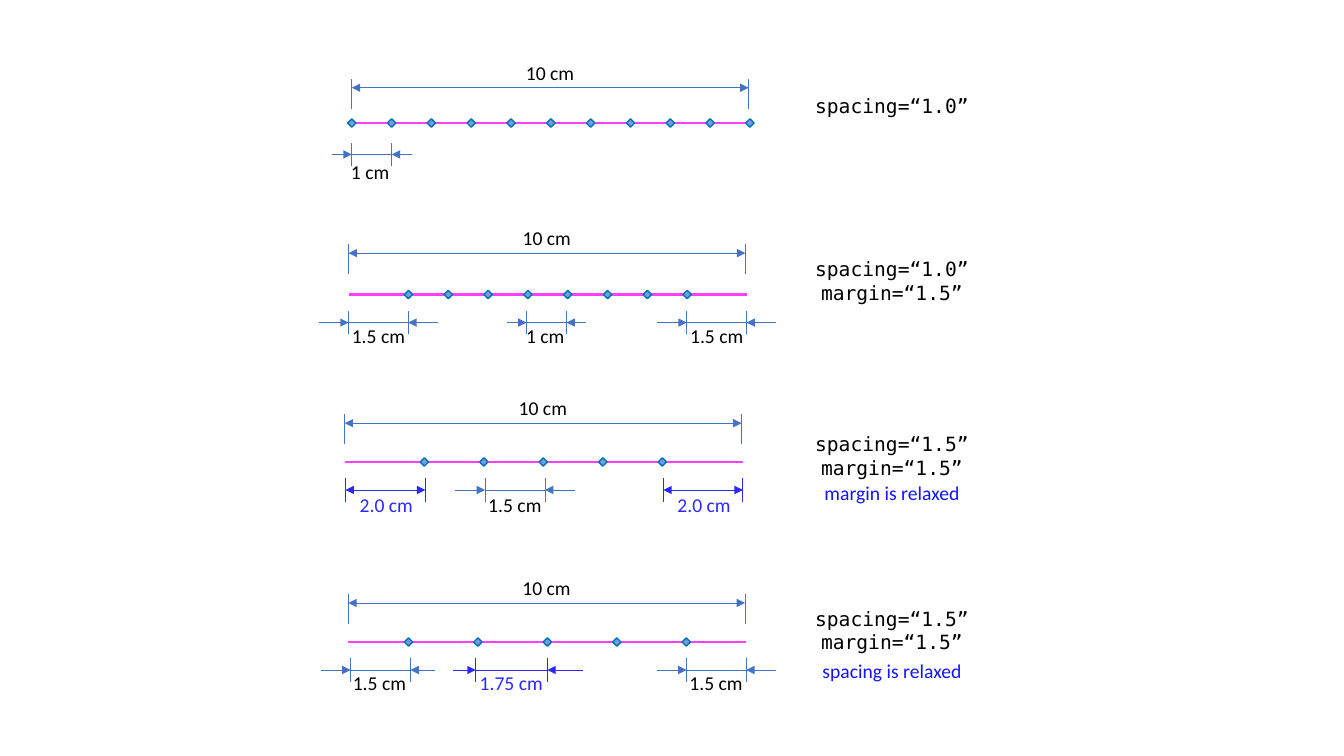
from dataclasses import dataclass
from typing import Any

from lxml import etree
from pptx import Presentation
from pptx import util as u
from pptx.dml import color
from pptx.enum import shapes, text
from pptx.oxml import ns


@dataclass(frozen=True)
class Theme:
    steel: str = "4472C4"
    pink: str = "FF41FF"
    fill: str = "729FCF"
    edge: str = "0070C0"
    blue: str = "2B28FF"
    note: str = "1314FF"
    black: str = "000000"
    sans: str = "Calibri"
    mono: str = "DejaVu Sans Mono"
    size: float = 14
    thin: float = 0.5
    rim: float = 1
    bold: float = 1.5


@dataclass(frozen=True)
class Span:
    words: str
    left: float
    right: float
    before: float
    after: float
    shift: float
    width: float
    tint: str = Theme.steel


@dataclass(frozen=True)
class Row:
    left: float
    top: float
    line: float
    low: float
    label: float
    first: float
    step: float
    count: int
    spans: tuple[Span, ...]
    code: tuple[str, ...]
    code_top: float
    note: str = ""
    note_top: float = 0


THEME = Theme()
LENGTH = 284.4
REACH = 283.4
GEM = 6
SIDE = 565.2

ROWS = (
    Row(251.3, 62.7, 87.9, 110.3, 111, 251.3, 28.44, 11,
        (Span("1 cm", 251.3, 279.8, 14.2, 14.2, -7.7, 41.8),),
        ("spacing=“1.0”",), 63.4),
    Row(249, 180.8, 210.4, 230.4, 227.5, 291.8, 28.44, 8,
        (Span("1.5 cm", 249, 291.6, 21.3, 21.3, -4.8, 62.6),
         Span("1 cm", 376.1, 404.6, 14.2, 14.2, -7.4, 41.8),
         Span("1.5 cm", 490.5, 533.3, 21.3, 21.3, -4.6, 62.6)),
        ("spacing=“1.0”", "margin=“1.5”"), 180),
    Row(246.2, 302.3, 330, 350, 348.5, 303.1, 42.5, 5,
        (Span("2.0 cm", 246.8, 303.8, 0, 0, 3, 57, THEME.blue),
         Span("1.5 cm", 346.5, 389.3, 21.3, 21.3, -4.8, 62.6),
         Span("2.0 cm", 473.8, 530.6, 0, 0, 3, 57, THEME.blue)),
        ("spacing=“1.5”", "margin=“1.5”"), 305.3, "margin is relaxed", 340),
    Row(248.8, 430.7, 458.6, 478.6, 476, 291.8, 49.6, 5,
        (Span("1.5 cm", 250.4, 293.2, 21.3, 17.5, -5.5, 62.6),
         Span("1.75 cm", 339.8, 391, 16.2, 25.4, -4.3, 71.3, THEME.blue),
         Span("1.5 cm", 490.4, 533, 21.3, 21.3, -5, 62.6)),
        ("spacing=“1.5”", "margin=“1.5”"), 429.8, "spacing is relaxed", 467.3),
)


def rgb(tint: str) -> color.RGBColor:
    return color.RGBColor.from_string(tint)


def draw_line(group: Any, x1: float, y1: float, x2: float, y2: float,
              tint: str, width: float = THEME.thin,
              ends: tuple[str, ...] = ()) -> None:
    line = group.add_connector(shapes.MSO_CONNECTOR.STRAIGHT,
                               u.Pt(x1), u.Pt(y1), u.Pt(x2), u.Pt(y2))
    line.line.color.rgb = rgb(tint)
    line.line.width = u.Pt(width)
    props = line._element.spPr
    for end in ends:
        etree.SubElement(props.find(ns.qn("a:ln")), ns.qn(end), type="triangle")
    etree.SubElement(props, ns.qn("a:effectLst"))


def draw_text(group: Any, lines: tuple[str, ...], x: float, y: float,
              width: float, wrap: bool, tint: str, font: str,
              align: text.PP_ALIGN) -> None:
    box = group.add_textbox(u.Pt(x), u.Pt(y), u.Pt(width),
                            u.Pt(7.4 + 16.8 * len(lines)))
    frame = box.text_frame
    frame.word_wrap = wrap
    frame.auto_size = text.MSO_AUTO_SIZE.SHAPE_TO_FIT_TEXT
    for place, words in enumerate(lines):
        para = frame.add_paragraph() if place else frame.paragraphs[0]
        para.alignment = align
        run = para.add_run()
        run.text = words
        run.font.name = font
        run.font.size = u.Pt(THEME.size)
        run.font.color.rgb = rgb(tint)


def draw_label(group: Any, words: str, x: float, y: float, width: float,
               tint: str = THEME.black) -> None:
    draw_text(group, (words,), x, y, width, width > 50, tint, THEME.sans,
              text.PP_ALIGN.LEFT)


def draw_side(group: Any, lines: tuple[str, ...], y: float, tint: str,
              font: str) -> None:
    draw_text(group, lines, SIDE, y, 144, True, tint, font,
              text.PP_ALIGN.CENTER)


def draw_gem(group: Any, x: float, y: float) -> None:
    gem = group.add_shape(shapes.MSO_SHAPE.DIAMOND, u.Pt(x - GEM / 2),
                          u.Pt(y - GEM / 2), u.Pt(GEM), u.Pt(GEM))
    gem.shadow.inherit = False
    gem.fill.solid()
    gem.fill.fore_color.rgb = rgb(THEME.fill)
    gem.line.color.rgb = rgb(THEME.edge)
    gem.line.width = u.Pt(THEME.rim)


def draw_size(group: Any, left: float, right: float, y: float, above: float,
              below: float, tint: str, ends: tuple[str, ...]) -> None:
    for x in (left, right):
        draw_line(group, x, y + below, x, y - above, tint)
    draw_line(group, right, y, left, y, tint, ends=ends)


def draw_span(group: Any, span: Span, row: Row) -> None:
    inner = span.before == 0
    draw_size(group, span.left, span.right, row.low, 8.5, 8.5, span.tint,
              ("a:headEnd", "a:tailEnd") if inner else ())
    if not inner:
        for start, stop in ((span.left - span.before, span.left),
                            (span.right + span.after, span.right)):
            draw_line(group, start, row.low, stop, row.low, span.tint,
                      ends=("a:tailEnd",))
    tint = THEME.black if span.tint == THEME.steel else span.tint
    draw_label(group, span.words, span.left + span.shift, row.label,
               span.width, tint)


def draw_row(group: Any, row: Row) -> None:
    draw_size(group, row.left, row.left + REACH, row.top, 6.6, 15,
              THEME.steel, ("a:headEnd", "a:tailEnd"))
    draw_label(group, "10 cm", row.left + 117.2, row.top - 23, 49)
    draw_line(group, row.left, row.line, row.left + LENGTH, row.line,
              THEME.pink, THEME.bold)
    for place in range(row.count):
        draw_gem(group, row.first + place * row.step, row.line)
    for span in row.spans:
        draw_span(group, span, row)
    draw_side(group, row.code, row.code_top, THEME.black, THEME.mono)
    if row.note:
        draw_side(group, (row.note,), row.note_top, THEME.note, THEME.sans)


def main() -> None:
    deck = Presentation()
    deck.slide_width, deck.slide_height = u.Pt(960), u.Pt(540)
    slide = deck.slides.add_slide(deck.slide_layouts[6])
    for row in ROWS:
        draw_row(slide.shapes.add_group_shape().shapes, row)
    deck.save("out.pptx")


if __name__ == "__main__":
    main()
